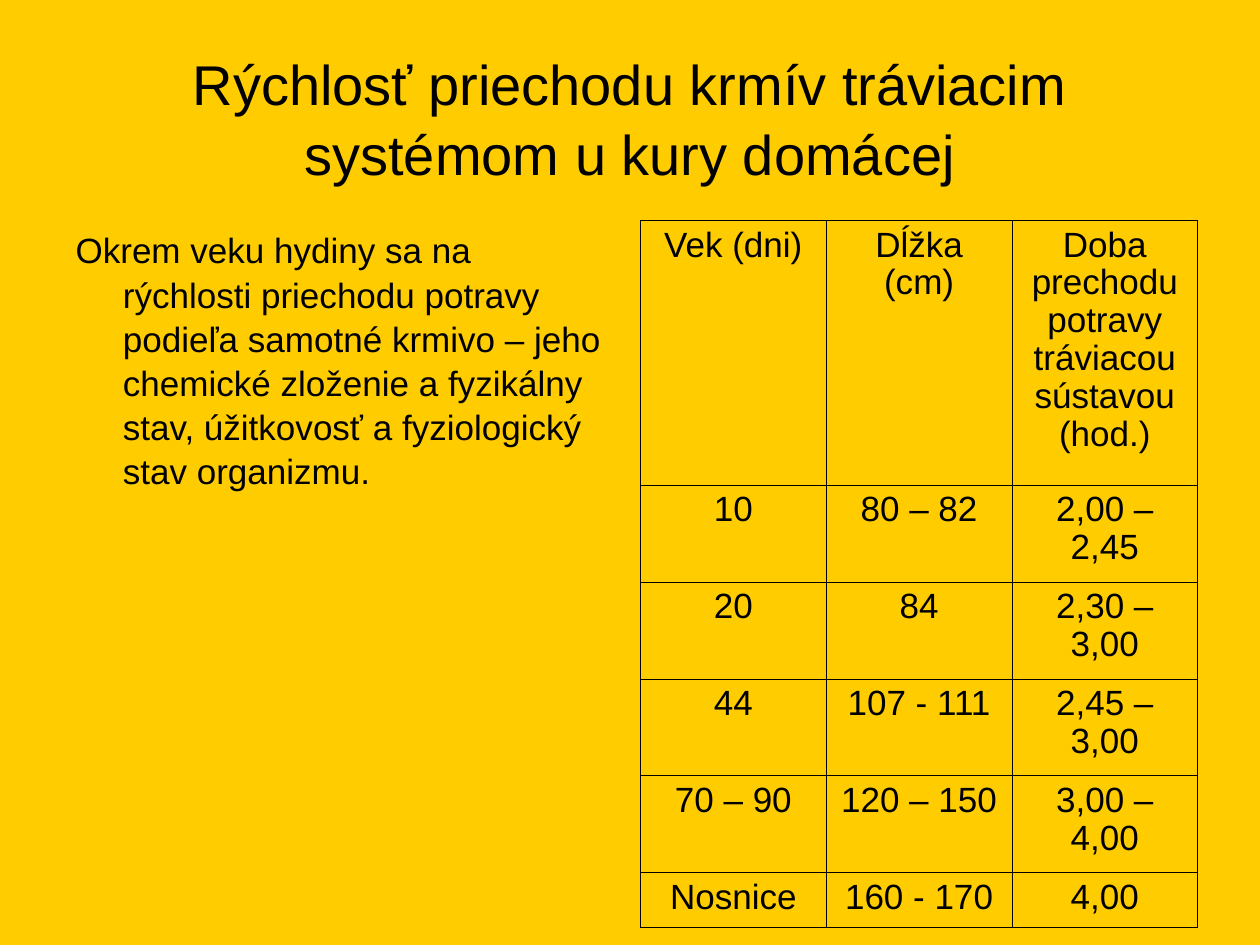
from lxml.etree import SubElement
from pptx import Presentation
from pptx.dml.color import RGBColor
from pptx.enum.text import MSO_ANCHOR, MSO_AUTO_SIZE, PP_ALIGN
from pptx.oxml.ns import qn
from pptx.util import Pt

GOLD = RGBColor(0xFF, 0xCC, 0x00)
BLACK = RGBColor(0x00, 0x00, 0x00)

TITLE = "Rýchlosť priechodu krmív tráviacim systémom u kury domácej"
BODY = (
    "Okrem veku hydiny sa na rýchlosti priechodu potravy podieľa samotné "
    "krmivo – jeho chemické zloženie a fyzikálny stav, úžitkovosť a "
    "fyziologický stav organizmu."
)
ROWS = [
    ("Vek (dni)", "Dĺžka (cm)", "Doba prechodu potravy tráviacou sústavou (hod.)"),
    ("10", "80 – 82", "2,00 – 2,45"),
    ("20", "84", "2,30 – 3,00"),
    ("44", "107 - 111", "2,45 – 3,00"),
    ("70 – 90", "120 – 150", "3,00 – 4,00"),
    ("Nosnice", "160 - 170", "4,00"),
]
HEIGHTS = [151.2] + [55.4] * 4 + [31.4]
WIDTH = 318.4


def assign(target, values):
    for name, value in values.items():
        setattr(target, name, value)


def write(frame, text, size, align, spacing):
    frame.text = text
    para = frame.paragraphs[0]
    assign(para, {"alignment": align, "line_spacing": spacing, "space_before": Pt(0)})
    assign(para.runs[0].font, {"name": "Arial", "size": Pt(size), "bold": False})
    para.runs[0].font.color.rgb = BLACK


def place(shape, left, top, width, height, anchor):
    box = {"left": left, "top": top, "width": width, "height": height}
    assign(shape, {name: Pt(value) for name, value in box.items()})
    assign(shape.text_frame, {
        "word_wrap": True,
        "auto_size": MSO_AUTO_SIZE.NONE,
        "vertical_anchor": anchor,
    })


def hang(para, indent):
    """Drop the bullet and let all lines but the first start at the indent."""
    props = para._p.get_or_add_pPr()
    props.set("marL", str(Pt(indent)))
    props.set("indent", str(-Pt(indent)))
    SubElement(props, qn("a:buNone"))


def frame_cell(cell):
    """Draw a thin black line on all four sides of a cell without fill."""
    props = cell._tc.get_or_add_tcPr()
    for side in ("lnL", "lnR", "lnT", "lnB"):
        line = SubElement(props, qn(f"a:{side}"), w=str(Pt(0.45)))
        fill = SubElement(line, qn("a:solidFill"))
        SubElement(fill, qn("a:srgbClr"), val=str(BLACK))
    cell.fill.background()


def add_grid(slide):
    shape = slide.shapes.add_table(
        len(ROWS), len(ROWS[0]), Pt(366), Pt(126), Pt(WIDTH), Pt(sum(HEIGHTS))
    )
    table = shape.table
    assign(table, {"first_row": False, "horz_banding": False})
    for col in table.columns:
        col.width = Pt(WIDTH / len(ROWS[0]))
    for row, height, texts in zip(table.rows, HEIGHTS, ROWS):
        row.height = Pt(height)
        for cell, text in zip(row.cells, texts):
            write(cell.text_frame, text, 20, PP_ALIGN.CENTER, 0.97)
            frame_cell(cell)


def main():
    deck = Presentation()
    assign(deck, {"slide_width": Pt(720), "slide_height": Pt(540)})
    slide = deck.slides.add_slide(deck.slide_layouts[1])
    slide.background.fill.solid()
    slide.background.fill.fore_color.rgb = GOLD

    title, body = slide.placeholders
    place(title, 36, 21.6, 648, 90, MSO_ANCHOR.MIDDLE)
    write(title.text_frame, TITLE, 32, PP_ALIGN.CENTER, 1.05)
    place(body, 36, 126, 318.4, 356.4, MSO_ANCHOR.TOP)
    write(body.text_frame, BODY, 20, PP_ALIGN.LEFT, 1.05)
    hang(body.text_frame.paragraphs[0], 27)
    add_grid(slide)
    deck.save("out.pptx")


if __name__ == "__main__":
    main()
